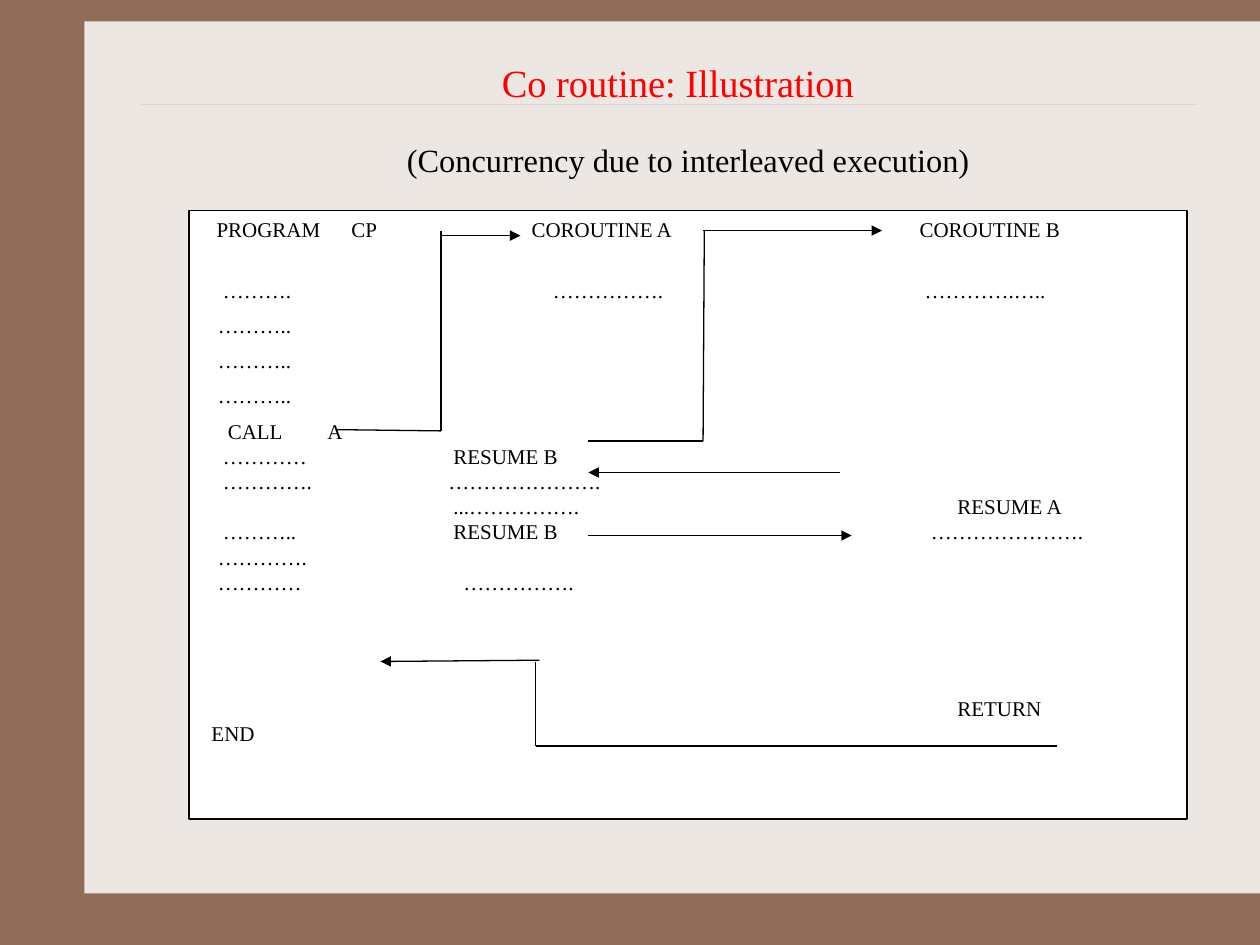
from lxml.etree import SubElement
from pptx import Presentation
from pptx.dml.color import RGBColor
from pptx.enum.shapes import MSO_CONNECTOR, MSO_SHAPE
from pptx.enum.text import MSO_ANCHOR, PP_ALIGN
from pptx.oxml.ns import qn
from pptx.util import Inches, Pt

TITLE = "Co routine: Illustration"
SUBTITLE = "(Concurrency due to interleaved execution)"

# Each row: blank lines above, line spacing, cells as (tab stop, text)
ROWS = [
    (0, 1, [(0.12, "PROGRAM"), (1.19, "CP"), (2.62, "COROUTINE A"), (5.7, "COROUTINE B")]),
    (1, 1.4, [(0.17, "……….") , (2.79, "……………."), (5.74, "………….…..")]),
    (0, 1.4, [(0.13, "………..")]),
    (0, 1.4, [(0.13, "………..")]),
    (0, 1.4, [(0.13, "………..")]),
    (0, 1.4, [(0.21, "CALL"), (1, "A")]),
    (0, 1, [(0.17, "…………"), (2, "RESUME B")]),
    (0, 1, [(0.17, "…………."), (1.96, "………………….")]),
    (0, 1, [(2, "...……………."), (6, "RESUME A")]),
    (0, 1, [(0.17, "……….."), (2, "RESUME B"), (5.79, "………………….")]),
    (0, 1, [(0.13, "………….")]),
    (0, 1, [(0.13, "…………"), (2.08, "…………….")]),
    (4, 1, [(6, "RETURN")]),
    (0, 1, [(0.08, "END")]),
]

CONTROL_FLOW = [
    ((2.67, 3.41), (3.5, 3.42), "thin", False),
    ((3.5, 1.87), (4.13, 1.87), "thin", True),
    ((4.67, 3.5), (5.58, 3.5), "thin", False),
    ((5.58, 3.5), (5.59, 1.83), "thin", False),
    ((8.39, 5.92), (4.25, 5.92), "thin", False),
    ((4.25, 5.92), (4.25, 5.25), "thin", False),
    ((4.28, 5.24), (3.02, 5.25), "thin", True),
    ((4.67, 4.25), (5.55, 4.25), "thin", False),
    ((5.5, 4.25), (6.76, 4.25), "thin", True),
    ((5.5, 3.75), (6.67, 3.75), "thin", False),
    ((5.55, 3.75), (4.67, 3.75), "thin", True),
    ((3.5, 1.83), (3.5, 3.42), "bold", False),
    ((5.58, 1.83), (7, 1.83), "bold", True),
]

THEME = {
    "font": "Times New Roman",
    "frame": "906D58", "page": "EDE7E3", "rule": "DDD6D1",
    "title": "FF0000", "ink": "000000", "panel": "FFFFFF",
    "title_size": 22, "subtitle_size": 18.5, "code_size": 12, "line_height": 14.4,
    "hairline": 0.25, "thin": 0.75, "bold": 1,
}


def color(name):
    """Return a theme colour."""
    return RGBColor.from_string(THEME[name])


def add_run(paragraph, text, size, ink):
    """Add one styled run."""
    run = paragraph.add_run()
    run.text = text
    run.font.name = THEME["font"]
    run.font.size = Pt(THEME[size])
    run.font.color.rgb = color(ink)


def add_heading(slide, box, text, size, ink, spacing):
    """Add a centred heading."""
    frame = slide.shapes.add_textbox(*map(Inches, box)).text_frame
    frame.word_wrap = True
    paragraph = frame.paragraphs[0]
    paragraph.alignment = PP_ALIGN.CENTER
    paragraph.line_spacing = spacing
    add_run(paragraph, text, size, ink)


def add_panel(slide, box, fill, line=None):
    """Add a flat rectangle."""
    panel = slide.shapes.add_shape(MSO_SHAPE.RECTANGLE, *map(Inches, box))
    panel.shadow.inherit = False
    panel.fill.solid()
    panel.fill.fore_color.rgb = color(fill)
    if line:
        panel.line.color.rgb = color(line)
        panel.line.width = Pt(THEME["thin"])
    else:
        panel.line.fill.background()
    return panel


def add_line(slide, start, end, weight, arrow=False, ink="ink"):
    """Add a straight line with an optional arrowhead."""
    line = slide.shapes.add_connector(MSO_CONNECTOR.STRAIGHT, *map(Inches, start + end))
    line.line.color.rgb = color(ink)
    line.line.width = Pt(THEME[weight])
    if arrow:
        SubElement(line.line._get_or_add_ln(), qn("a:tailEnd"), type="triangle")
    SubElement(line._element.spPr, qn("a:effectLst"))


def write_rows(frame):
    """Write the program rows on tab stops."""
    frame.word_wrap = True
    frame.vertical_anchor = MSO_ANCHOR.TOP
    for index, (blank_lines, spacing, cells) in enumerate(ROWS):
        paragraph = frame.add_paragraph() if index else frame.paragraphs[0]
        paragraph.alignment = PP_ALIGN.LEFT
        paragraph.line_spacing = spacing
        if blank_lines:
            paragraph.space_before = Pt(blank_lines * THEME["line_height"])
        stops = SubElement(paragraph._p.get_or_add_pPr(), qn("a:tabLst"))
        for stop, text in cells:
            SubElement(stops, qn("a:tab"), pos=str(Inches(stop)), algn="l")
            add_run(paragraph, "\t" + text, "code_size", "ink")


def main():
    """Build the coroutine slide."""
    deck = Presentation()
    deck.slide_width, deck.slide_height = Inches(10), Inches(7.5)
    slide = deck.slides.add_slide(deck.slide_layouts[6])
    slide.background.fill.solid()
    slide.background.fill.fore_color.rgb = color("frame")
    add_panel(slide, (0.67, 0.17, 9.33, 6.92), "page")
    add_line(slide, (1.11, 0.83), (9.5, 0.83), "hairline", ink="rule")
    add_heading(slide, (2.92, 0.42, 4.92, 0.42), TITLE, "title_size", "title", 1)
    add_heading(slide, (1.17, 1, 8.58, 0.5), SUBTITLE, "subtitle_size", "ink", 1.2)
    program = add_panel(slide, (1.5, 1.67, 7.92, 4.83), "panel", "ink")
    write_rows(program.text_frame)
    for step in CONTROL_FLOW:
        add_line(slide, *step)
    deck.save("out.pptx")


if __name__ == "__main__":
    main()
